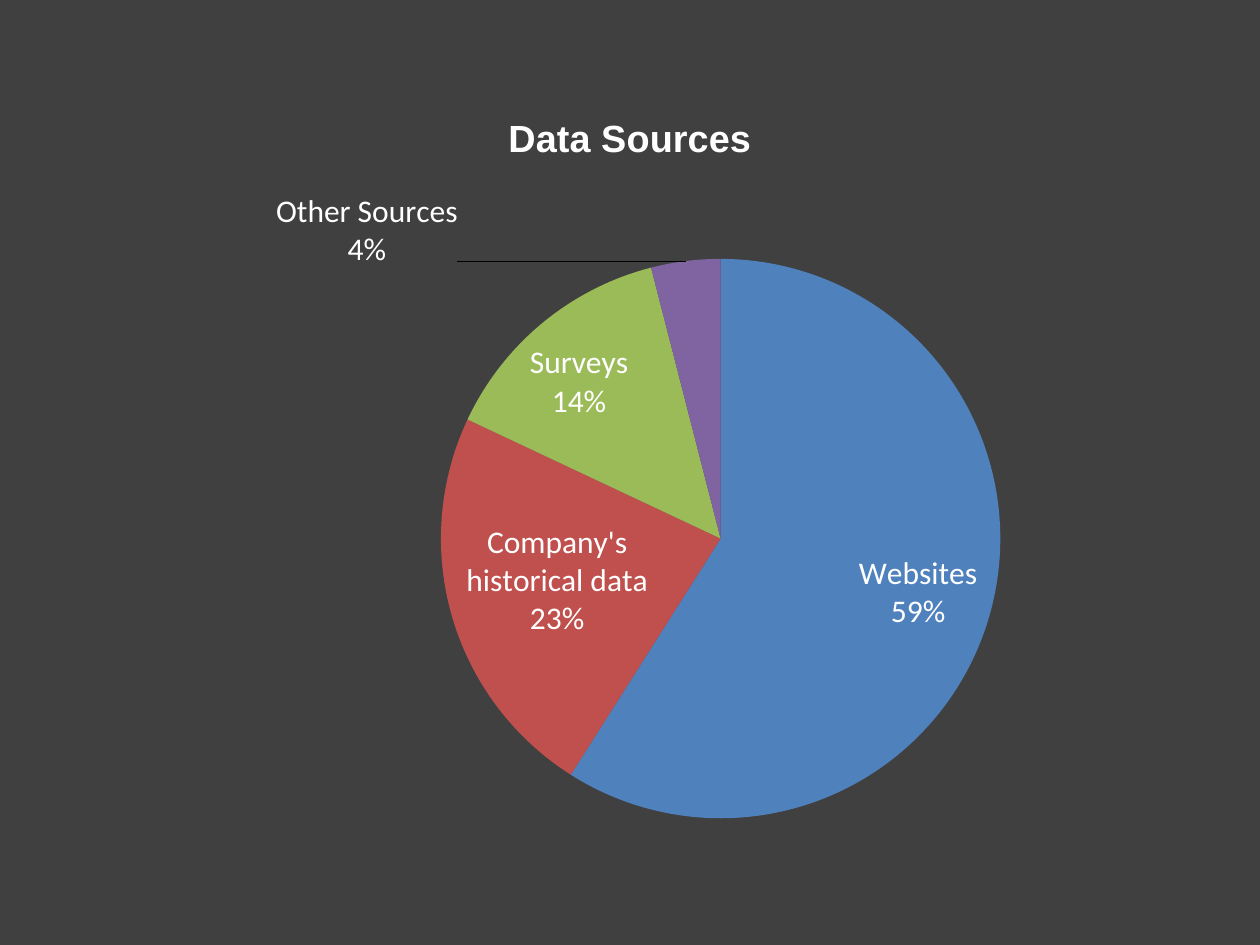
from lxml import etree
from pptx import Presentation
from pptx.chart.data import CategoryChartData
from pptx.dml.color import RGBColor
from pptx.enum.chart import XL_CHART_TYPE, XL_LABEL_POSITION
from pptx.oxml.ns import qn
from pptx.util import Inches, Pt

PIE = XL_CHART_TYPE.PIE
BEST_FIT = XL_LABEL_POSITION.BEST_FIT
OUTSIDE_END = XL_LABEL_POSITION.OUTSIDE_END

WIDTH, HEIGHT = Inches(10), Inches(7.5)
COLORS = {"background": "404040", "text": "FFFFFF"}
SOURCES = [
    ("Websites", 59, "4F81BD"),
    ("Company's historical data", 23, "C0504D"),
    ("Surveys", 14, "9BBB59"),
    ("Other Sources", 4, "8064A2"),
]


def paint(fill, color):
    fill.solid()
    fill.fore_color.rgb = RGBColor.from_string(color)


def format_font(font, name, size, bold=False):
    font.name, font.size, font.bold = name, Pt(size), bold
    font.color.rgb = RGBColor.from_string(COLORS["text"])


def write_text(text_frame, text, **font_format):
    paragraph = text_frame.paragraphs[0]
    run = paragraph.add_run()
    run.text = text
    for font in (paragraph.font, run.font):
        format_font(font, **font_format)


def manual_layout(**settings):
    """Return a c:layout element; lengths are shares of the chart's size."""
    layout = etree.Element(qn("c:layout"))
    manual = etree.SubElement(layout, qn("c:manualLayout"))
    for name, value in settings.items():
        etree.SubElement(manual, qn(f"c:{name}")).set("val", str(value))
    return layout


def show_category_and_percent(labels):
    """Switch on both label parts, on separate lines, for c:dLbls or c:dLbl."""
    for name, shown in (("showVal", 0), ("showCatName", 1), ("showPercent", 1)):
        labels.find(qn(f"c:{name}")).set("val", str(shown))
    separator = etree.Element(qn("c:separator"))
    separator.text = "\n"
    labels.find(qn("c:showBubbleSize")).addnext(separator)


def label_slices(series):
    series.data_labels.position = BEST_FIT
    labels = series.data_labels._element
    show_category_and_percent(labels)

    last = len(SOURCES) - 1
    series.points[last].data_label.position = OUTSIDE_END
    outer_label = labels.find(qn("c:dLbl"))
    show_category_and_percent(outer_label)
    outer_label.find(qn("c:idx")).addnext(manual_layout(x=-0.2, y=0.02))


def add_source_pie(slide, left, top, width, height):
    data = CategoryChartData()
    data.categories = [name for name, _, _ in SOURCES]
    data.add_series("Series 1", [value for _, value, _ in SOURCES])
    chart = slide.shapes.add_chart(PIE, left, top, width, height, data).chart
    chart.has_legend = False
    format_font(chart.font, "Calibri", 18)
    write_text(chart.chart_title.text_frame, "Data Sources",
               name="Arial", size=21.6, bold=True)

    series = chart.plots[0].series[0]
    for index, (_, _, color) in enumerate(SOURCES):
        paint(series.points[index].format.fill, color)
    label_slices(series)

    plot_area = chart._chartSpace.chart.plotArea
    for layout in plot_area.findall(qn("c:layout")):
        plot_area.remove(layout)
    plot_area.insert(0, manual_layout(
        layoutTarget="inner", xMode="edge", yMode="edge",
        x=0.33, y=0.23, w=0.5, h=0.74))


def main():
    presentation = Presentation()
    presentation.slide_width, presentation.slide_height = WIDTH, HEIGHT
    slide = presentation.slides.add_slide(presentation.slide_layouts[6])
    paint(slide.background.fill, COLORS["background"])
    add_source_pie(slide, int(WIDTH * 0.05), int(HEIGHT * 0.09),
                   int(WIDTH * 0.9), int(HEIGHT * 0.8))
    presentation.save("out.pptx")


if __name__ == "__main__":
    main()
